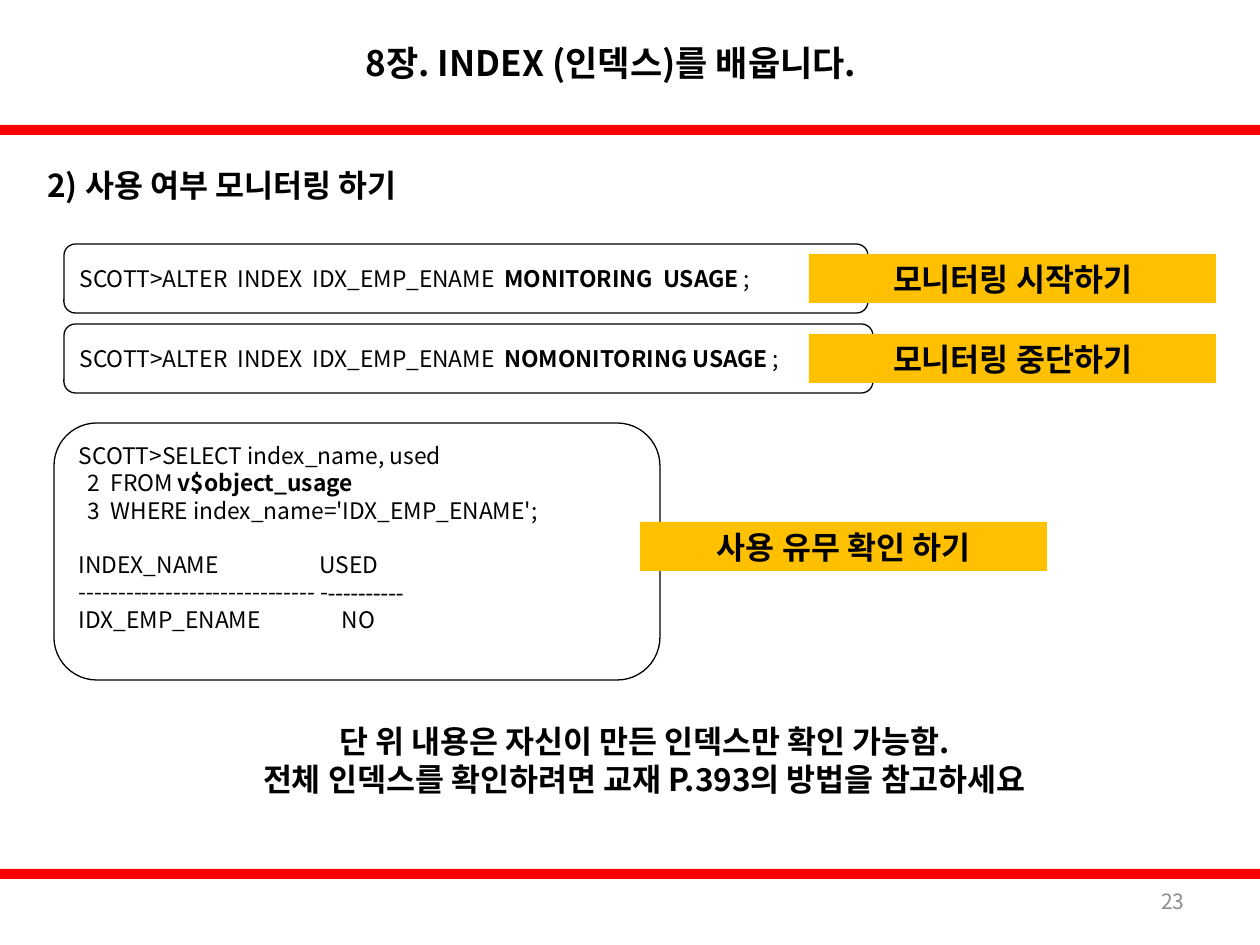
from lxml.etree import SubElement
from pptx import Presentation
from pptx.dml.color import RGBColor
from pptx.enum.shapes import MSO_SHAPE
from pptx.enum.text import MSO_ANCHOR, MSO_AUTO_SIZE, PP_ALIGN
from pptx.oxml.ns import qn
from pptx.util import Inches, Pt

PIXEL = Inches(1) / 126
BLACK = RGBColor(0x00, 0x00, 0x00)
WHITE = RGBColor(0xFF, 0xFF, 0xFF)
RED = RGBColor(0xFF, 0x00, 0x00)
AMBER = RGBColor(0xFF, 0xC0, 0x00)
GRAY = RGBColor(0x8C, 0x8C, 0x8C)
FONT = "Noto Sans CJK KR"


def emu(pixels):
    return round(pixels * PIXEL)


def set_all(target, values):
    for name, value in values.items():
        setattr(target, name, value)


class SlideBuilder:
    """Holds the text style and the slide being built."""

    heading = {"size": Pt(18), "bold": True}
    code = {"size": Pt(13), "bold": False}

    def __init__(self, slide):
        self.slide = slide

    def add_lines(self, shape, lines, font, align=PP_ALIGN.LEFT,
                  anchor=MSO_ANCHOR.MIDDLE, color=BLACK):
        """Each line is a list of runs: a string, or a string with font values."""
        frame = shape.text_frame
        set_all(frame, {"word_wrap": True, "auto_size": MSO_AUTO_SIZE.NONE,
                        "vertical_anchor": anchor})
        for index, runs in enumerate(lines):
            paragraph = frame.paragraphs[0] if index == 0 else frame.add_paragraph()
            paragraph.alignment = align
            for item in runs:
                text, extra = (item, {}) if isinstance(item, str) else item
                run = paragraph.add_run()
                run.text = text
                set_all(run.font, {"name": FONT, **font, **extra})
                run.font.color.rgb = color
                east_asian = SubElement(run.font._element, qn("a:ea"))
                east_asian.set("typeface", FONT)
        return frame.paragraphs

    def title(self, box, text):
        shape = self.slide.shapes.title
        set_all(shape, dict(zip(("left", "top", "width", "height"), map(emu, box))))
        self.add_lines(shape, [[text]], {"size": Pt(20), "bold": True})

    def text(self, box, lines, font, **options):
        shape = self.slide.shapes.add_textbox(*map(emu, box))
        self.add_lines(shape, lines, font, **options)

    def panel(self, box, fill, kind=MSO_SHAPE.RECTANGLE, line=None):
        shape = self.slide.shapes.add_shape(kind, *map(emu, box))
        shape.shadow.inherit = False
        shape.fill.solid()
        shape.fill.fore_color.rgb = fill
        if line is None:
            shape.line.fill.background()
        else:
            shape.line.color.rgb = line
            shape.line.width = Pt(0.75)
        return shape

    def code_box(self, box, lines, anchor=MSO_ANCHOR.MIDDLE):
        shape = self.panel(box, WHITE, MSO_SHAPE.ROUNDED_RECTANGLE, BLACK)
        return self.add_lines(shape, lines, self.code, PP_ALIGN.JUSTIFY, anchor)

    def label(self, left, top, text):
        shape = self.panel((left, top, 407, 49), AMBER)
        self.add_lines(shape, [[text]], self.heading, PP_ALIGN.CENTER)

    def tab_stop(self, paragraph, position):
        stops = SubElement(paragraph._p.get_or_add_pPr(), qn("a:tabLst"))
        SubElement(stops, qn("a:tab"), pos=str(emu(position)), algn="l")


presentation = Presentation()
presentation.slide_width, presentation.slide_height = Inches(10), Inches(7.5)
builder = SlideBuilder(presentation.slides.add_slide(presentation.slide_layouts[5]))

# Frame: red bars, title, page number
for bar_top in (125, 869):
    builder.panel((0, bar_top, 1260, 10), RED)
builder.title((353, 0, 576, 125), "8장. INDEX (인덱스)를 배웁니다.")
builder.text((903, 876, 294, 50), [["23"]], {"size": Pt(12)},
             align=PP_ALIGN.RIGHT, color=GRAY)

# Section heading
builder.text((35, 155, 496, 59), [["2) 사용 여부 모니터링 하기"]], builder.heading)

# Statements that start and stop monitoring
bold = {"bold": True}
statements = [
    (244, 804, "MONITORING  USAGE", "모니터링 시작하기"),
    (324, 809, "NOMONITORING USAGE", "모니터링 중단하기"),
]
for top, width, clause, caption in statements:
    builder.code_box((64, top, width, 69), [
        ["SCOTT>ALTER  INDEX  IDX_EMP_ENAME  ", (clause, bold), " ;"]])
for top, width, clause, caption in statements:
    builder.label(809, top + 10, caption)

# Query and its result
query = builder.code_box((54, 423, 606, 257), [
    ["SCOTT>SELECT index_name, used"],
    ["2  FROM ", ("v$object_usage", bold)],
    ["3  WHERE index_name='IDX_EMP_ENAME';"],
    ["INDEX_NAME\tUSED"],
    ["-" * 30 + " -", ("-" * 10, {"name": "Times New Roman"})],
    ["IDX_EMP_ENAME\tNO"],
], MSO_ANCHOR.TOP)
for numbered in query[1:3]:
    numbered._p.get_or_add_pPr().set("marL", str(emu(9)))
query[3].space_before = Pt(15.5)
builder.tab_stop(query[3], 241)
builder.tab_stop(query[5], 263)
builder.label(640, 522, "사용 유무 확인 하기")

# Closing note
builder.text((203, 701, 883, 118), [
    ["단 위 내용은 자신이 만든 인덱스만 확인 가능함."],
    ["전체 인덱스를 확인하려면 교재 P.393의 방법을 참고하세요"],
], builder.heading, align=PP_ALIGN.CENTER)

presentation.save("out.pptx")
